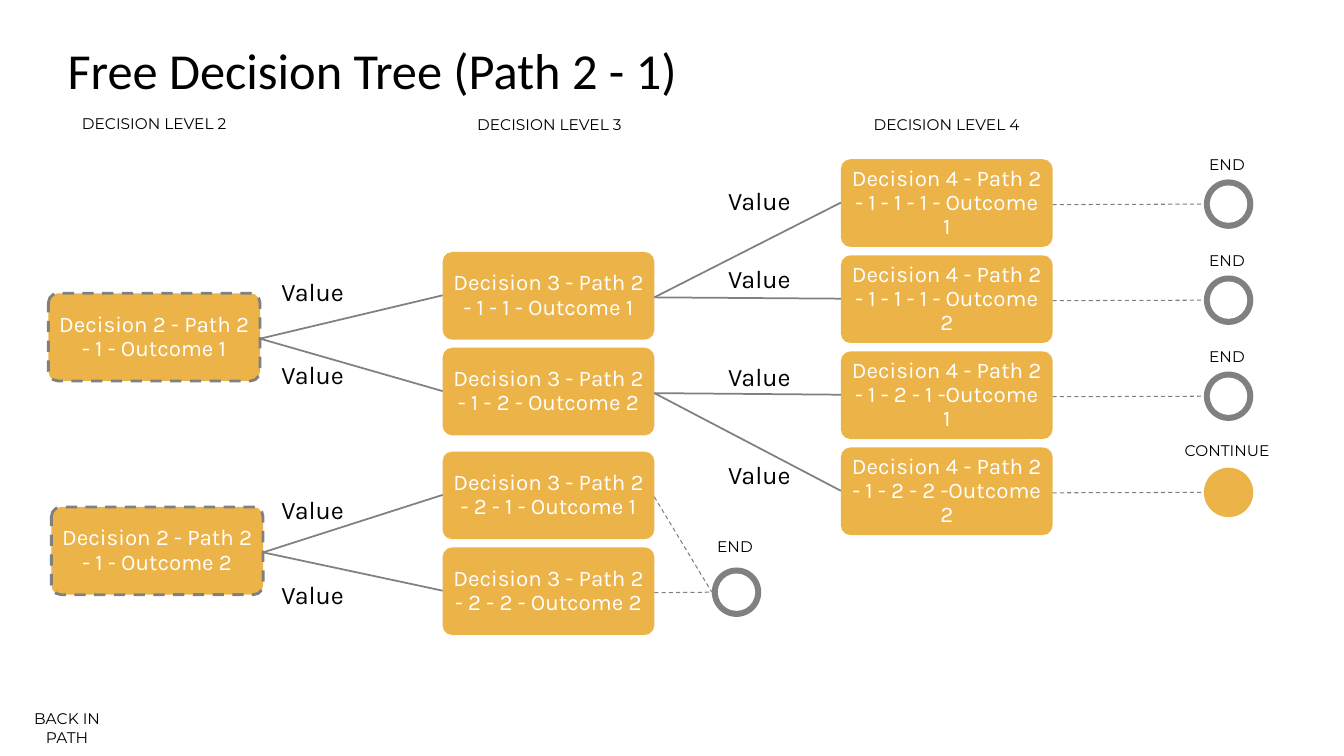
from lxml import etree
from pptx import Presentation
from pptx.dml.color import RGBColor
from pptx.enum.dml import MSO_LINE
from pptx.enum.shapes import MSO_CONNECTOR, MSO_SHAPE
from pptx.enum.text import MSO_ANCHOR, MSO_AUTO_SIZE, PP_ALIGN
from pptx.oxml.ns import qn
from pptx.util import Inches, Pt

LEFT, CENTER, RIGHT = PP_ALIGN.LEFT, PP_ALIGN.CENTER, PP_ALIGN.RIGHT
MIDDLE = MSO_ANCHOR.MIDDLE
GROW = MSO_AUTO_SIZE.SHAPE_TO_FIT_TEXT
DASH = MSO_LINE.DASH
ROUND, OVAL = MSO_SHAPE.ROUNDED_RECTANGLE, MSO_SHAPE.OVAL
STRAIGHT = MSO_CONNECTOR.STRAIGHT


class Theme:
    gold = RGBColor(0xEC, 0xB4, 0x48)
    gray = RGBColor(0x80, 0x80, 0x80)
    white = RGBColor(0xFF, 0xFF, 0xFF)
    black = RGBColor(0, 0, 0)
    head, body, label = "Calibri", "Karla", "Montserrat"
    title, value, box, small = Pt(36), Pt(18), Pt(16), Pt(11)


def write(shape, text, size=Theme.small, font=Theme.label, color=Theme.black,
          align=CENTER, space=None):
    frame = shape.text_frame
    frame.word_wrap = True
    para = frame.paragraphs[0]
    para.alignment = align
    para.line_spacing = space
    run = para.add_run()
    run.text = text
    run.font.size, run.font.name = size, font
    run.font.color.rgb = color
    return frame


def paint(shape, color, edge=None):
    shape.shadow.inherit = False
    shape.fill.solid()
    shape.fill.fore_color.rgb = color
    if edge is None:
        shape.line.fill.background()
    else:
        shape.line.color.rgb = edge
        shape.line.width = Pt(2)
        shape.line.dash_style = DASH


deck = Presentation()
deck.slide_width, deck.slide_height = Inches(13.33), Inches(7.5)
slide = deck.slides.add_slide(deck.slide_layouts[5])
shapes = slide.shapes

# Title
title = shapes.title
title.left, title.top = Inches(0.67), Inches(0.3)
title.width, title.height = Inches(12), Inches(0.78)
frame = write(title, "Free Decision Tree (Path 2 - 1)", size=Theme.title,
              font=Theme.head, align=LEFT)
frame.margin_left = frame.margin_right = frame.margin_top = frame.margin_bottom = 0
frame.vertical_anchor = MIDDLE

# Decision boxes: left, top, text; each level keeps its own list
WIDE, HIGH = 2.1, 0.87
STEP = 0.953
two = [
    (0.48, 2.91, "Decision 2 - Path 2 - 1 - Outcome 1"),
    (0.51, 5.03, "Decision 2 - Path 2 - 1 - Outcome 2"),
]
three = [
    (4.39, 2.5, "Decision 3 - Path 2 - 1 - 1 - Outcome 1"),
    (4.39, 3.45, "Decision 3 - Path 2 - 1 - 2 - Outcome 2"),
    (4.39, 4.48, "Decision 3 - Path 2 - 2 - 1 - Outcome 1"),
    (4.39, 5.43, "Decision 3 - Path 2 - 2 - 2 - Outcome 2"),
]
ends = ["1 - 1 - 1 - Outcome 1", "1 - 1 - 1 - Outcome 2",
        "1 - 2 - 1 -Outcome 1", "1 - 2 - 2 -Outcome 2"]
four = [(8.34, 1.58 + STEP * i, "Decision 4 - Path 2 - " + end)
        for i, end in enumerate(ends)]

for level, edge in ((two, Theme.gray), (three, None), (four, None)):
    for x, y, text in level:
        box = shapes.add_shape(ROUND, Inches(x), Inches(y), Inches(WIDE), Inches(HIGH))
        box.adjustments[0] = 0.11
        paint(box, Theme.gold, edge)
        frame = write(box, text, size=Theme.box, font=Theme.body,
                      color=Theme.white, space=0.9)
        frame.margin_left = frame.margin_right = Inches(0.06)
        frame.margin_top = frame.margin_bottom = Inches(0.06)
        frame.vertical_anchor = MIDDLE

# End marks: left, top, label, gap up to the label
DOT, RIM = 0.49, 0.06
marks = [(11.94, 1.78 + STEP * i, "END", 0.29) for i in range(3)]
marks += [(11.94, 4.64, "CONTINUE", 0.31), (7.06, 5.63, "END", 0.35)]
for x, y, text, gap in marks:
    if text == "CONTINUE":
        disc = shapes.add_shape(OVAL, Inches(x), Inches(y), Inches(DOT), Inches(DOT))
        paint(disc, Theme.gold)
        continue
    ring = shapes.add_group_shape()
    for pad, color in ((0, Theme.gray), (RIM, Theme.white)):
        side = Inches(DOT - 2 * pad)
        disc = ring.shapes.add_shape(OVAL, Inches(x + pad), Inches(y + pad), side, side)
        paint(disc, color)

# Lines: solid between levels, dashed to the end marks
OUT, IN = 0.45, 0.43
links = []
for tier, after in ((two, three), (three[:2], four)):
    for i, (x, y, _) in enumerate(after):
        px, py, _ = tier[i // 2]
        links.append((px + WIDE, py + OUT, x, y + IN, False))
pairs = list(zip(four, marks)) + [(box, marks[-1]) for box in three[2:]]
for (x, y, _), (mx, my, _, _) in pairs:
    links.append((x + WIDE, y + OUT, mx, my + DOT / 2, True))

for x1, y1, x2, y2, thin in links:
    link = shapes.add_connector(STRAIGHT, Inches(x1), Inches(y1), Inches(x2), Inches(y2))
    link.line.color.rgb = Theme.gray
    link.line.width = Pt(0.75 if thin else 1.25)
    if thin:
        link.line.dash_style = DASH
    etree.SubElement(link._element.spPr, qn("a:effectLst"))

# Level heads, end labels and the back label: left, top, width, height, text
labels = [
    (0.59, 1.08, 1.88, 0.29, "DECISION LEVEL 2"),
    (4.51, 1.09, 1.88, 0.29, "DECISION LEVEL 3"),
    (8.45, 1.09, 1.88, 0.29, "DECISION LEVEL 4"),
    (0.02, 6.99, 1.29, 0.47, "BACK IN PATH"),
]
labels += [(x - 0.71, y - gap, 1.88, 0.29, text) for x, y, text, gap in marks]
small = {}

# Value labels on the branches
big = {"size": Theme.value, "font": Theme.body, "align": RIGHT}
values = [(x, y, 1.73, 0.4, "Value")
          for x, tops in ((1.78, (2.69, 3.52, 4.86, 5.7)),
                          (6.21, (1.79, 2.56, 3.54, 4.51)))
          for y in tops]

for group, style in ((labels, small), (values, big)):
    for x, y, w, h, text in group:
        note = shapes.add_textbox(Inches(x), Inches(y), Inches(w), Inches(h))
        write(note, text, **style).auto_size = GROW

# Back arrow
pen = shapes.build_freeform(0.82, 6.51, scale=Inches(1))
pen.add_line_segments([(0.51, 6.71), (0.82, 6.91)], close=True)
paint(pen.convert_to_shape(), Theme.black)

deck.save("out.pptx")
